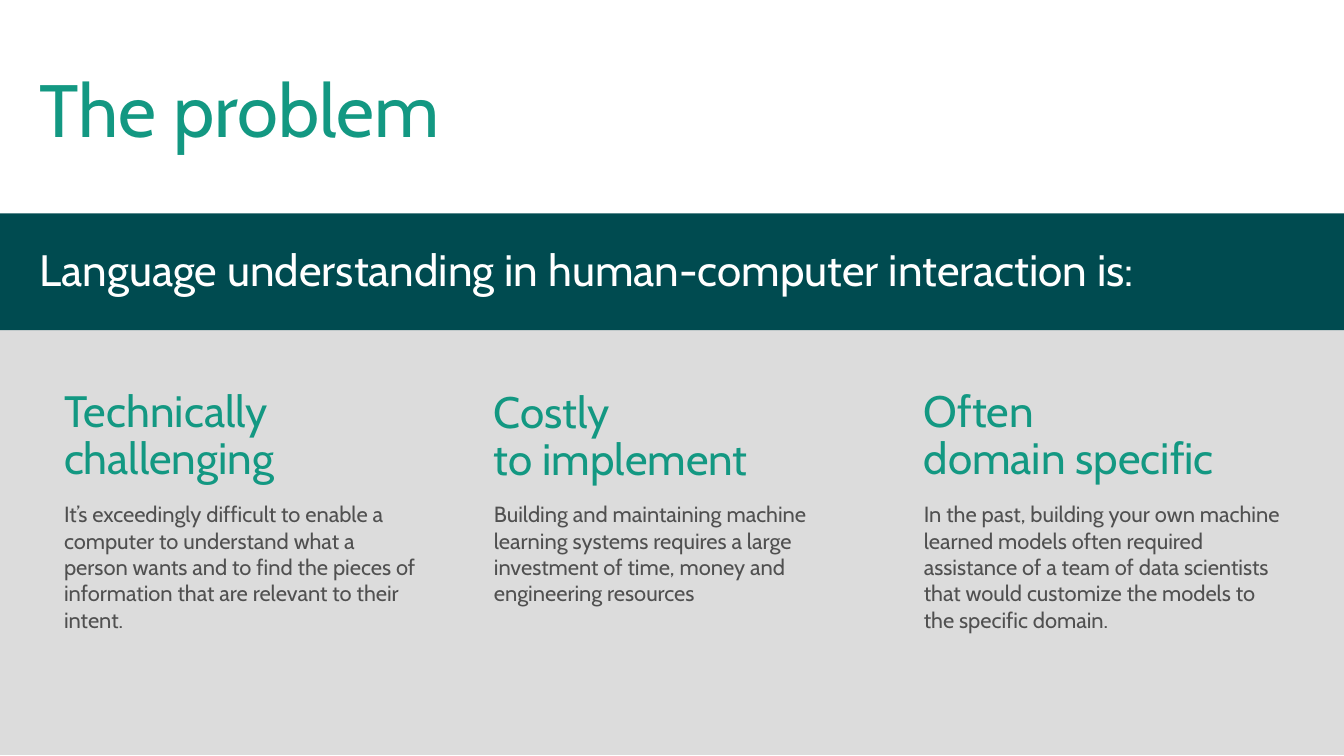
from pptx import Presentation
from pptx.dml.color import RGBColor
from pptx.enum import shapes, text
from pptx.util import Inches, Pt

COLORS = {"teal": "139882", "band": "004B50", "panel": "DCDCDC",
          "body": "505050", "white": "FFFFFF"}
FONT = "Cabin"

prs = Presentation()
prs.slide_width, prs.slide_height = Inches(13.6), Inches(7.65)
s = prs.slides.add_slide(prs.slide_layouts[6])


def add_band(top, height, color):
    sp = s.shapes.add_shape(shapes.MSO_SHAPE.RECTANGLE, 0, Inches(top),
                            prs.slide_width, Inches(height))
    sp.shadow.inherit = False
    sp.fill.solid()
    sp.fill.fore_color.rgb = RGBColor.from_string(COLORS[color])
    sp.line.fill.background()
    return sp


def write(sp, content, size, color, spacing=0.9, inset_y=0.1,
          anchor=text.MSO_ANCHOR.TOP):
    tf = sp.text_frame
    tf.word_wrap = True
    tf.vertical_anchor = anchor
    tf.margin_left = tf.margin_right = Inches(0.1)
    tf.margin_top = tf.margin_bottom = Inches(inset_y)
    tf.text = content
    for p in tf.paragraphs:
        p.alignment = text.PP_ALIGN.LEFT
        p.line_spacing = spacing
        for r in p.runs:
            r.font.name = FONT
            r.font.size = Pt(size)
            r.font.color.rgb = RGBColor.from_string(COLORS[color])


# Background panel and title
add_band(2.57, 5.07, "panel")
title = s.shapes.add_textbox(Inches(0.3), Inches(0.41), Inches(13), Inches(1.48))
write(title, "The problem", 54, "teal", anchor=text.MSO_ANCHOR.MIDDLE)

# Lead-in band
lead = add_band(2.16, 1.18, "band")
write(lead, "Language understanding in human-computer interaction is:", 32,
      "white", inset_y=0.16, anchor=text.MSO_ANCHOR.MIDDLE)
lead.text_frame.margin_left = Inches(0.4)

# Three columns, each a heading grouped with its explanation
columns = [
    ("Technically challenging", 3.84,
     "It’s exceedingly difficult to enable a computer to understand what a "
     "person wants and to find the pieces of information that are relevant "
     "to their intent."),
    ("Costly\nto implement", 3.85,
     "Building and maintaining machine learning systems requires a large "
     "investment of time, money and engineering resources"),
    ("Often\ndomain specific", 3.84,
     "In the past, building your own machine learned models often required "
     "assistance of a team of data scientists that would customize the "
     "models to the specific domain."),
]
for i, (heading, top, body) in enumerate(columns):
    left = Inches(0.55 + 4.35 * i)
    column = s.shapes.add_group_shape()
    head_box = column.shapes.add_textbox(left, Inches(top), Inches(3.8), Inches(1.34))
    write(head_box, heading, 32, "teal")
    body_box = column.shapes.add_textbox(left, Inches(4.97), Inches(3.8), Inches(2.1))
    write(body_box, body, 16, "body", spacing=1.0)

prs.save("out.pptx")
